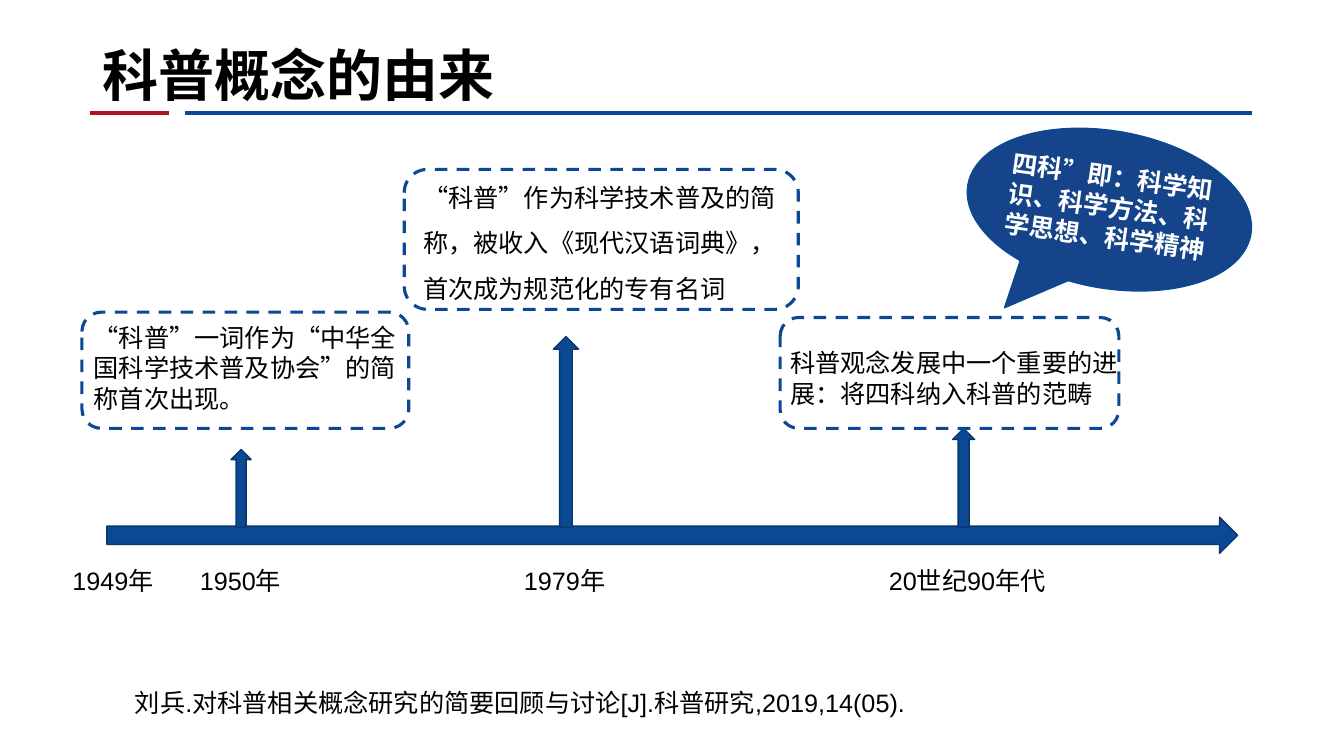
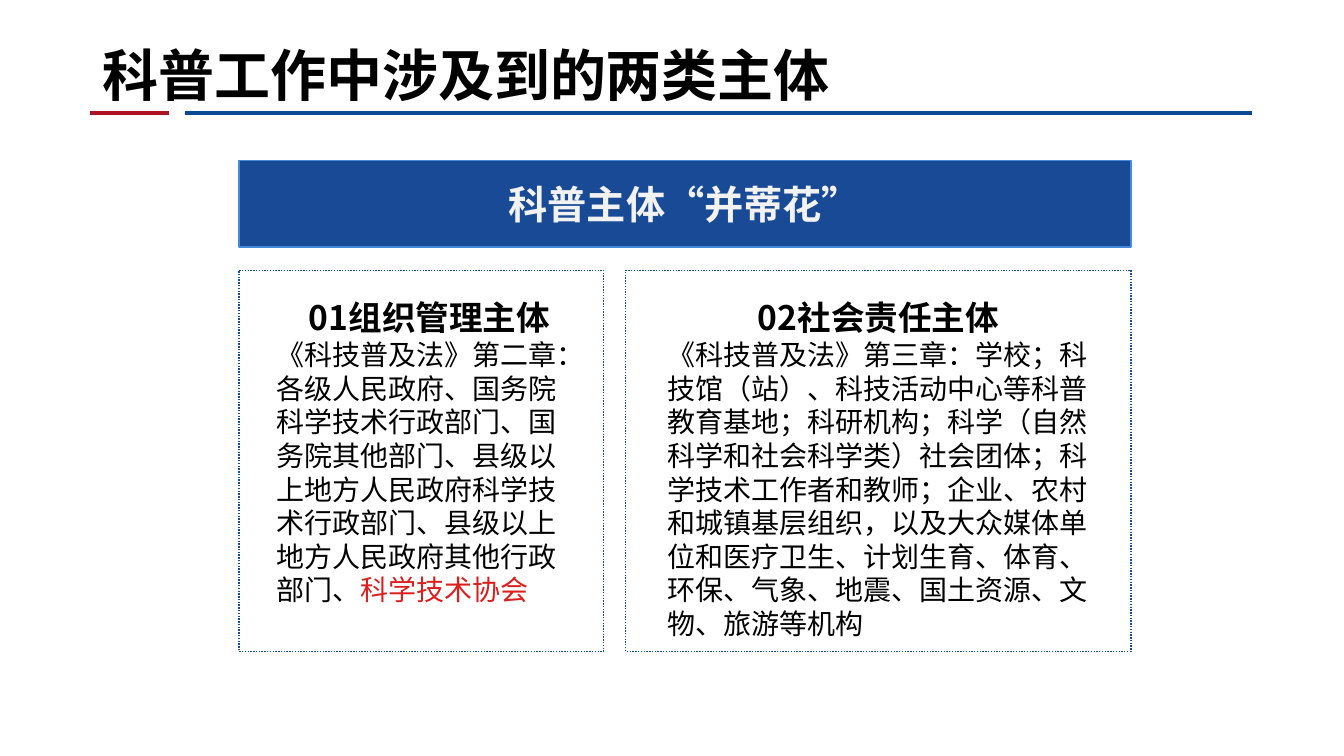
import pptx
import pptx.util
import pptx.dml.color
import pptx.enum.dml
import pptx.enum.lang
import pptx.enum.shapes
import pptx.enum.text
import pptx.oxml
import pptx.oxml.ns

Pt = pptx.util.Pt
SHAPE = pptx.enum.shapes.MSO_SHAPE
DASH = pptx.enum.dml.MSO_LINE
ALIGN = pptx.enum.text.PP_ALIGN
ANCHOR = pptx.enum.text.MSO_ANCHOR

COLORS = {
    "red": "AE1324", "blue": "0C4994", "edge": "09366D", "callout": "16448A",
    "banner": "194A96", "banner_edge": "448AD7", "banner_text": "F2F2F2",
    "accent": "DB1F1F", "black": "000000", "white": "FFFFFF",
}
SANS, CJK, TITLE = "Arial", "Noto Sans CJK SC", "Roboto Condensed"
RULES = [("red", 64.3, 120.5), ("blue", 132.5, 894.2)]
RULE_Y = 80.7

TIMELINE_TITLE = "科普概念的由来"
AXIS = (76.3, 369.4, 807.8, 25.9)
ARROW_BOTTOM = 376.6
LABEL_TOP = 400.3
LABELS = [
    ("1949年", 44.6, 120),
    ("1950年", 135.7, 84),
    ("1979年", 367.2, 92),
    ("20世纪90年代", 627.8, 143),
]
ARROWS = [(165, 321.1, 14.4), (395.3, 240.5, 18), (680.4, 306, 15.8)]
EVENTS = [
    ("“科普”一词作为“中华全国科学技术普及协会”的简称首次出现。",
     (58.5, 223, 233.5, 83), (59.8, 226.8, 235.4, 94.3), 1),
    ("“科普”作为科学技术普及的简称，被收入《现代汉语词典》，首次成为规范化的专有名词",
     (288.7, 121, 281.5, 100), (295.2, 115.9, 269.3, 105.1), 1.5),
    ("科普观念发展中一个重要的进展：将四科纳入科普的范畴",
     (557.3, 226.8, 241.9, 79.2), (557.3, 244.8, 262, 51.1), 1),
]
CALLOUT = "四科”即：科学知识、科学方法、科学思想、科学精神"
CITATION = "刘兵.对科普相关概念研究的简要回顾与讨论[J].科普研究,2019,14(05)."

SUBJECTS_TITLE = "科普工作中涉及到的两类主体"
BANNER = "科普主体“并蒂花”"
PANEL_LEFT, PANEL_TOP, PANEL_HEIGHT, PANEL_GAP = 170.6, 193, 272.2, 15.8
PANELS = [
    ("01", "组织管理主体", 260.6, (197.3, 218.9), [
        ("《科技普及法》第二章：各级人民政府、国务院科学技术行政部门、国务院其他部门、"
         "县级以上地方人民政府科学技术行政部门、县级以上地方人民政府其他行政部门、", "black"),
        ("科学技术协会", "accent")]),
    ("02", "社会责任主体", 360.8, (476.6, 301.7), [
        ("《科技普及法》第三章：学校；科技馆（站）、科技活动中心等科普教育基地；科研机构；"
         "科学（自然科学和社会科学类）社会团体；科学技术工作者和教师；企业、农村和城镇基层组织，"
         "以及大众媒体单位和医疗卫生、计划生育、体育、环保、气象、地震、国土资源、文物、旅游等机构",
         "black")]),
]


def rgb(name):
    return pptx.dml.color.RGBColor.from_string(COLORS[name])


def add_run(p, text, size, font=SANS, color="black", bold=False):
    r = p.add_run()
    r.text = text
    f = r.font
    f.size, f.bold, f.name = Pt(size), bold, font
    f.color.rgb = rgb(color)
    f.language_id = pptx.enum.lang.MSO_LANGUAGE_ID.SIMPLIFIED_CHINESE
    ea = pptx.oxml.parse_xml(
        f'<a:ea {pptx.oxml.ns.nsdecls("a")} typeface="{CJK}"/>')
    f._element.append(ea)


def add_text(s, box, text="", size=18, anchor=ANCHOR.TOP, spacing=1, **style):
    sp = s.shapes.add_textbox(*map(Pt, box))
    tf = sp.text_frame
    tf.word_wrap = True
    tf.vertical_anchor = anchor
    if text:
        p = tf.paragraphs[0]
        p.line_spacing = spacing
        add_run(p, text, size, **style)
    return sp


def add_box(s, kind, box, fill=None, line="edge", width=1, dash=None):
    sp = s.shapes.add_shape(kind, *map(Pt, box))
    sp.shadow.inherit = False
    if fill:
        sp.fill.solid()
        sp.fill.fore_color.rgb = rgb(fill)
    else:
        sp.fill.background()
    sp.line.color.rgb = rgb(line)
    sp.line.width = Pt(width)
    if dash:
        sp.line.dash_style = dash
    return sp


def add_slide(prs, title):
    s = prs.slides.add_slide(prs.slide_layouts[6])
    for color, x1, x2 in RULES:
        c = s.shapes.add_connector(pptx.enum.shapes.MSO_CONNECTOR.STRAIGHT,
                                   Pt(x1), Pt(RULE_Y), Pt(x2), Pt(RULE_Y))
        c.line.color.rgb = rgb(color)
        c.line.width = Pt(3.5)
        c._element.spPr.append(pptx.oxml.parse_xml(
            f'<a:effectLst {pptx.oxml.ns.nsdecls("a")}/>'))
    add_text(s, (66.2, 0, 828, RULE_Y), title, 40, ANCHOR.BOTTOM, font=TITLE, bold=True)
    return s


def build_timeline(prs):
    s = add_slide(prs, TIMELINE_TITLE)
    add_box(s, SHAPE.RIGHT_ARROW, AXIS, "blue")
    for left, top, width in ARROWS:
        add_box(s, SHAPE.UP_ARROW, (left, top, width, ARROW_BOTTOM - top), "blue")
    for text, left, width in LABELS:
        add_text(s, (left, LABEL_TOP, width, 28.8), text)
    for text, frame, box, spacing in EVENTS:
        add_text(s, box, text, spacing=spacing)
        add_box(s, SHAPE.ROUNDED_RECTANGLE, frame, line="blue", width=2.25, dash=DASH.DASH)
    sp = add_box(s, SHAPE.OVAL_CALLOUT, (689.8, 93.6, 205.2, 112.3), "callout", "blue")
    sp.adjustments[0], sp.adjustments[1] = -0.3, 0.73
    sp.rotation = 10
    sp = add_text(s, (711.4, 111.6, 162.7, 94.3), CALLOUT, font=CJK, color="white", bold=True)
    sp.rotation = 8
    add_text(s, (89.3, 487.4, 725, 28.8), CITATION)


def build_subjects(prs):
    s = add_slide(prs, SUBJECTS_TITLE)
    total = sum(panel[2] for panel in PANELS) + PANEL_GAP * (len(PANELS) - 1)
    sp = add_box(s, SHAPE.RECTANGLE, (PANEL_LEFT, 114.5, total, 61.9), "banner", "banner_edge")
    sp.text_frame.vertical_anchor = ANCHOR.MIDDLE
    p = sp.text_frame.paragraphs[0]
    p.alignment = ALIGN.CENTER
    add_run(p, BANNER, 28, color="banner_text", bold=True)
    left = PANEL_LEFT
    for number, heading, width, (text_left, text_width), body in PANELS:
        add_box(s, SHAPE.RECTANGLE, (left, PANEL_TOP, width, PANEL_HEIGHT),
                line="banner", dash=DASH.ROUND_DOT)
        left += width + PANEL_GAP
        tf = add_text(s, (text_left, 198, text_width, 261.4)).text_frame
        tf.margin_left = tf.margin_top = tf.margin_right = tf.margin_bottom = 0
        p = tf.paragraphs[0]
        p.alignment = ALIGN.CENTER
        p.line_spacing = 1.5
        add_run(p, number, 24, CJK, bold=True)
        add_run(p, heading, 24, bold=True)
        p = tf.add_paragraph()
        for text, color in body:
            add_run(p, text, 20, CJK, color)


def main():
    prs = pptx.Presentation()
    prs.slide_width, prs.slide_height = Pt(960), Pt(540)
    build_timeline(prs)
    build_subjects(prs)
    prs.save("out.pptx")


if __name__ == "__main__":
    main()
